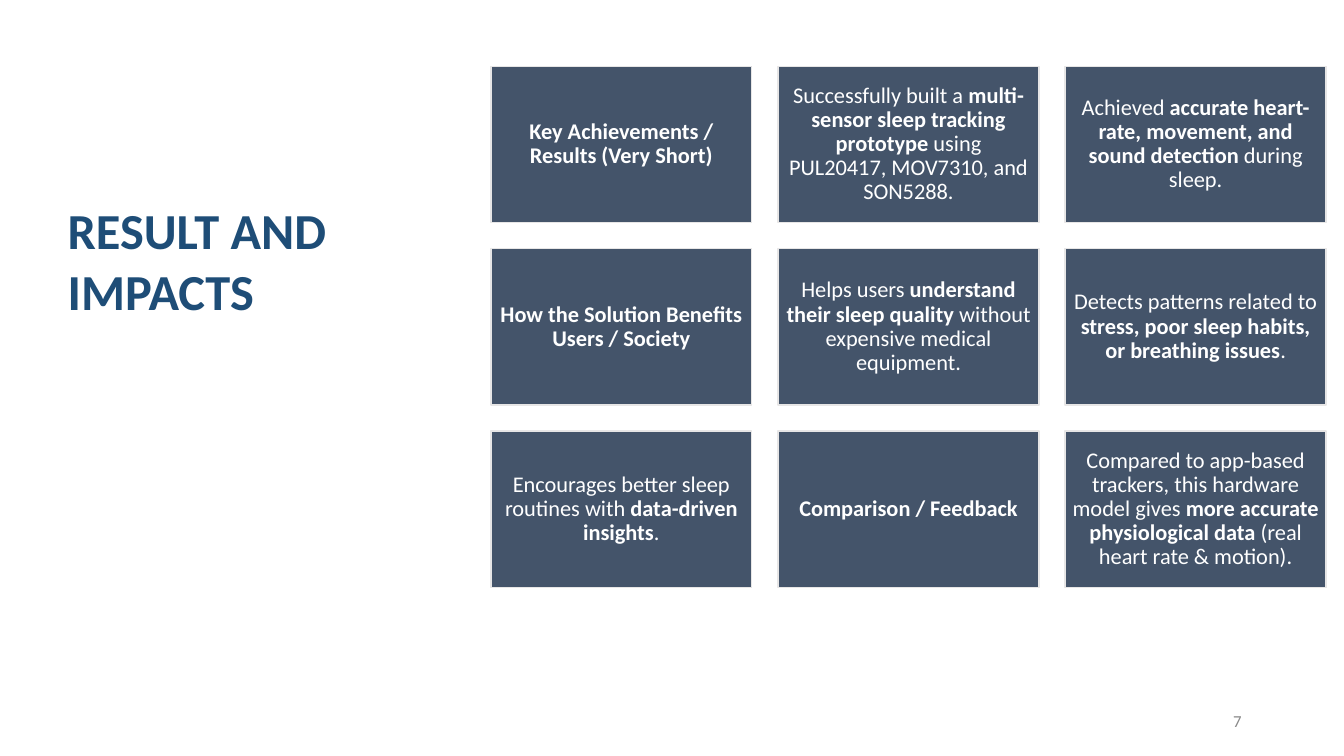
from dataclasses import dataclass

from pptx import Presentation
from pptx.dml.color import RGBColor
from pptx.enum.shapes import MSO_SHAPE
from pptx.enum.text import MSO_ANCHOR, MSO_AUTO_SIZE, PP_ALIGN
from pptx.util import Cm, Pt

RECTANGLE = MSO_SHAPE.RECTANGLE
TOP, MIDDLE = MSO_ANCHOR.TOP, MSO_ANCHOR.MIDDLE
LEFT, CENTER, RIGHT = PP_ALIGN.LEFT, PP_ALIGN.CENTER, PP_ALIGN.RIGHT
GROW = MSO_AUTO_SIZE.SHAPE_TO_FIT_TEXT


@dataclass(frozen=True)
class Theme:
    font: str = "Calibri"
    heading: RGBColor = RGBColor(0x1E, 0x4D, 0x77)
    card: RGBColor = RGBColor(0x44, 0x54, 0x6A)
    border: RGBColor = RGBColor(0xE7, 0xE6, 0xE6)
    card_text: RGBColor = RGBColor(0xFF, 0xFF, 0xFF)
    number: RGBColor = RGBColor(0x89, 0x89, 0x89)
    heading_size: Pt = Pt(36)
    card_size: Pt = Pt(16)
    number_size: Pt = Pt(12)


THEME = Theme()
COLUMNS = 3
CARD_GAP = Cm(0.66)
CARD_INSET = Cm(0.17)

FINDINGS = [
    [("Key Achievements / Results (Very Short)", True)],
    [("Successfully built a ", False),
     ("multi-sensor sleep tracking prototype", True),
     (" using PUL20417, MOV7310, and SON5288.", False)],
    [("Achieved ", False),
     ("accurate heart-rate, movement, and sound detection", True),
     (" during sleep.", False)],
    [("How the Solution Benefits Users / Society", True)],
    [("Helps users ", False),
     ("understand their sleep quality", True),
     (" without expensive medical equipment.", False)],
    [("Detects patterns related to ", False),
     ("stress, poor sleep habits, or breathing issues", True),
     (".", False)],
    [("Encourages better sleep routines with ", False),
     ("data-driven insights", True),
     (".", False)],
    [("Comparison / Feedback", True)],
    [("Compared to app-based trackers, this hardware model gives ", False),
     ("more accurate physiological data", True),
     (" (real heart rate & motion).", False)],
]


def style_paragraph(paragraph, size, color, align):
    paragraph.alignment = align
    paragraph.font.name = THEME.font
    paragraph.font.size = size
    paragraph.font.color.rgb = color


def add_heading(slide, left, top, width, height):
    heading = slide.shapes.title
    heading.left, heading.top, heading.width, heading.height = left, top, width, height
    frame = heading.text_frame
    frame.text = "RESULT AND IMPACTS"
    frame.word_wrap = True
    frame.auto_size = GROW
    frame.vertical_anchor = TOP
    paragraph = frame.paragraphs[0]
    style_paragraph(paragraph, THEME.heading_size, THEME.heading, LEFT)
    paragraph.font.bold = True


def add_card(slide, finding, left, top, width, height):
    card = slide.shapes.add_shape(RECTANGLE, left, top, width, height)
    card.shadow.inherit = False
    card.fill.solid()
    card.fill.fore_color.rgb = THEME.card
    card.line.color.rgb = THEME.border
    card.line.width = Pt(1)
    frame = card.text_frame
    frame.word_wrap = True
    frame.vertical_anchor = MIDDLE
    frame.margin_left = frame.margin_right = CARD_INSET
    frame.margin_top = frame.margin_bottom = CARD_INSET
    paragraph = frame.paragraphs[0]
    style_paragraph(paragraph, THEME.card_size, THEME.card_text, CENTER)
    paragraph.line_spacing = 0.9
    for wording, bold in finding:
        run = paragraph.add_run()
        run.text = wording
        run.font.bold = bold


def add_findings(slide, left, top, width, height):
    rows = len(FINDINGS) // COLUMNS
    card_width = (width - (COLUMNS - 1) * CARD_GAP) // COLUMNS
    card_height = (height - (rows - 1) * CARD_GAP) // rows
    for index, finding in enumerate(FINDINGS):
        row, column = divmod(index, COLUMNS)
        add_card(slide, finding,
                 left + column * (card_width + CARD_GAP),
                 top + row * (card_height + CARD_GAP),
                 card_width, card_height)


def add_page_number(slide, left, top, width, height):
    page_number = slide.shapes.add_textbox(left, top, width, height)
    frame = page_number.text_frame
    frame.text = "7"
    frame.word_wrap = True
    frame.vertical_anchor = MIDDLE
    style_paragraph(frame.paragraphs[0], THEME.number_size, THEME.number, RIGHT)


def main():
    deck = Presentation()
    deck.slide_width, deck.slide_height = Cm(33.87), Cm(19.05)
    slide = deck.slides.add_slide(deck.slide_layouts[5])
    add_heading(slide, Cm(1.45), Cm(4.9), Cm(9.17), Cm(3.33))
    add_findings(slide, Cm(12.37), Cm(1.67), Cm(21.05), Cm(13.13))
    add_page_number(slide, Cm(23.92), Cm(17.66), Cm(7.62), Cm(1.01))
    deck.save("out.pptx")


if __name__ == "__main__":
    main()
